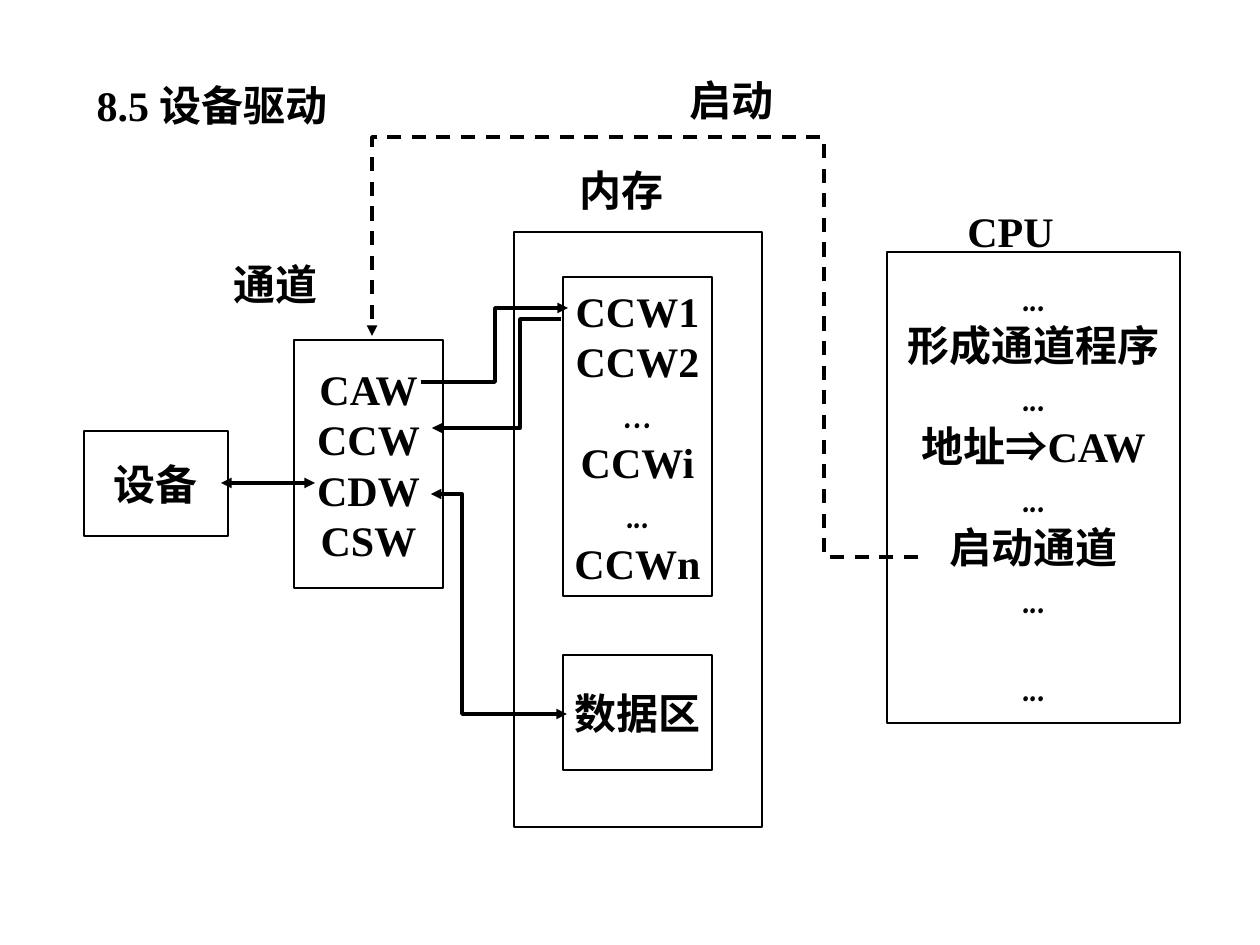
"""Draws how the channel links device, memory and CPU."""
from dataclasses import dataclass
from typing import Any

from lxml.etree import SubElement
from pptx import Presentation
from pptx.dml.color import RGBColor
from pptx.enum.dml import MSO_LINE
from pptx.enum.shapes import MSO_CONNECTOR, MSO_SHAPE
from pptx.enum.text import MSO_ANCHOR, MSO_AUTO_SIZE, PP_ALIGN
from pptx.oxml.ns import qn
from pptx.util import Emu, Pt

SCALE = 914400 / 126
HUES = {"ink": "000000", "paper": "FFFFFF"}
FONTS = {"...": "Comic Neue", "…": "Comic Neue", "⇒": "Arial"}


def px(*nums):
    return [Emu(round(num * SCALE)) for num in nums]


def hue(name):
    return RGBColor.from_string(HUES[name])


@dataclass
class Board:
    slide: Any
    font: str = "Times New Roman"
    size: int = 24
    thin: float = 0.75
    thick: float = 2

    def letter(self, frame, rows, align, anchor, wrap):
        frame.auto_size = MSO_AUTO_SIZE.NONE
        frame.word_wrap = wrap
        frame.vertical_anchor = anchor
        for num, row in enumerate(rows):
            para = frame.add_paragraph() if num else frame.paragraphs[0]
            para.alignment = align
            for text in row:
                run = para.add_run()
                run.text = text
                run.font.name = FONTS.get(text, self.font)
                run.font.size = Pt(self.size)
                run.font.bold = True
                run.font.color.rgb = hue("ink")

    def title(self, text, *spot):
        shape = self.slide.shapes.title
        shape.left, shape.top, shape.width, shape.height = px(*spot)
        self.letter(shape.text_frame, [[text]], PP_ALIGN.LEFT, MSO_ANCHOR.TOP, True)

    def label(self, text, *spot):
        shape = self.slide.shapes.add_textbox(*px(*spot))
        self.letter(shape.text_frame, [[text]], PP_ALIGN.LEFT, MSO_ANCHOR.TOP, True)

    def box(self, rows, *spot):
        shape = self.slide.shapes.add_shape(MSO_SHAPE.RECTANGLE, *px(*spot))
        shape.shadow.inherit = False
        shape.fill.solid()
        shape.fill.fore_color.rgb = hue("paper")
        shape.line.color.rgb = hue("ink")
        shape.line.width = Pt(self.thin)
        self.letter(shape.text_frame, rows, PP_ALIGN.CENTER, MSO_ANCHOR.MIDDLE, False)
        return shape.text_frame.paragraphs

    def stroke(self, shape, ends, dash=False):
        shape.line.color.rgb = hue("ink")
        shape.line.width = Pt(self.thick)
        if dash:
            shape.line.dash_style = MSO_LINE.DASH
        edge = shape._element.spPr.find(qn("a:ln"))
        for end in ends:
            SubElement(edge, qn(f"a:{end}End"), type="triangle")

    def link(self, start, stop, ends):
        line = self.slide.shapes.add_connector(
            MSO_CONNECTOR.STRAIGHT, *px(*start, *stop))
        self.stroke(line, ends)
        SubElement(line._element.spPr, qn("a:effectLst"))

    def route(self, points, ends, dash=False):
        build = self.slide.shapes.build_freeform(*points[0], scale=SCALE)
        build.add_line_segments(points[1:], close=False)
        shape = build.convert_to_shape()
        shape.shadow.inherit = False
        shape.fill.background()
        self.stroke(shape, ends, dash)


def main():
    deck = Presentation()
    deck.slide_width, deck.slide_height = px(1260, 945)
    board = Board(deck.slides.add_slide(deck.slide_layouts[5]))

    board.title("8.5 设备驱动", 84, 73, 1103, 63)
    board.box([["设备"]], 84, 431, 144, 105)
    board.box([["CAW"], ["CCW"], ["CDW"], ["CSW"]], 294, 340, 149, 248)
    board.box([], 514, 232, 248, 595)
    board.box([["CCW1"], ["CCW2"], ["…"], ["CCWi"], ["..."], ["CCWn"]],
              563, 277, 149, 319)
    board.box([["数据区"]], 563, 655, 149, 115)
    steps = board.box([["..."], ["形成通道程序"], ["..."], ["地址", "⇒", "CAW"],
                       ["..."], ["启动通道"], ["..."], ["..."]],
                      887, 252, 293, 471)
    steps[0].line_spacing = 1.1
    steps[-1].line_spacing = 0.9
    steps[-1].space_before = Pt(25)

    both = ("head", "tail")
    board.link((221, 483), (315, 483), both)
    board.route([(568, 308), (495, 308), (495, 382), (421, 382)], ["head"])
    board.route([(432, 428), (520, 428), (520, 319), (561, 319)], ["head"])
    board.route([(431, 494), (462, 494), (462, 714), (567, 714)], both)
    board.route([(918, 557), (824, 557), (824, 137), (372, 137), (372, 336)],
                ["tail"], dash=True)

    board.label("启动", 677, 68, 136, 63)
    board.label("内存", 567, 158, 116, 63)
    board.label("CPU", 955, 199, 136, 63)
    board.label("通道", 221, 252, 126, 63)
    deck.save("out.pptx")


if __name__ == "__main__":
    main()
